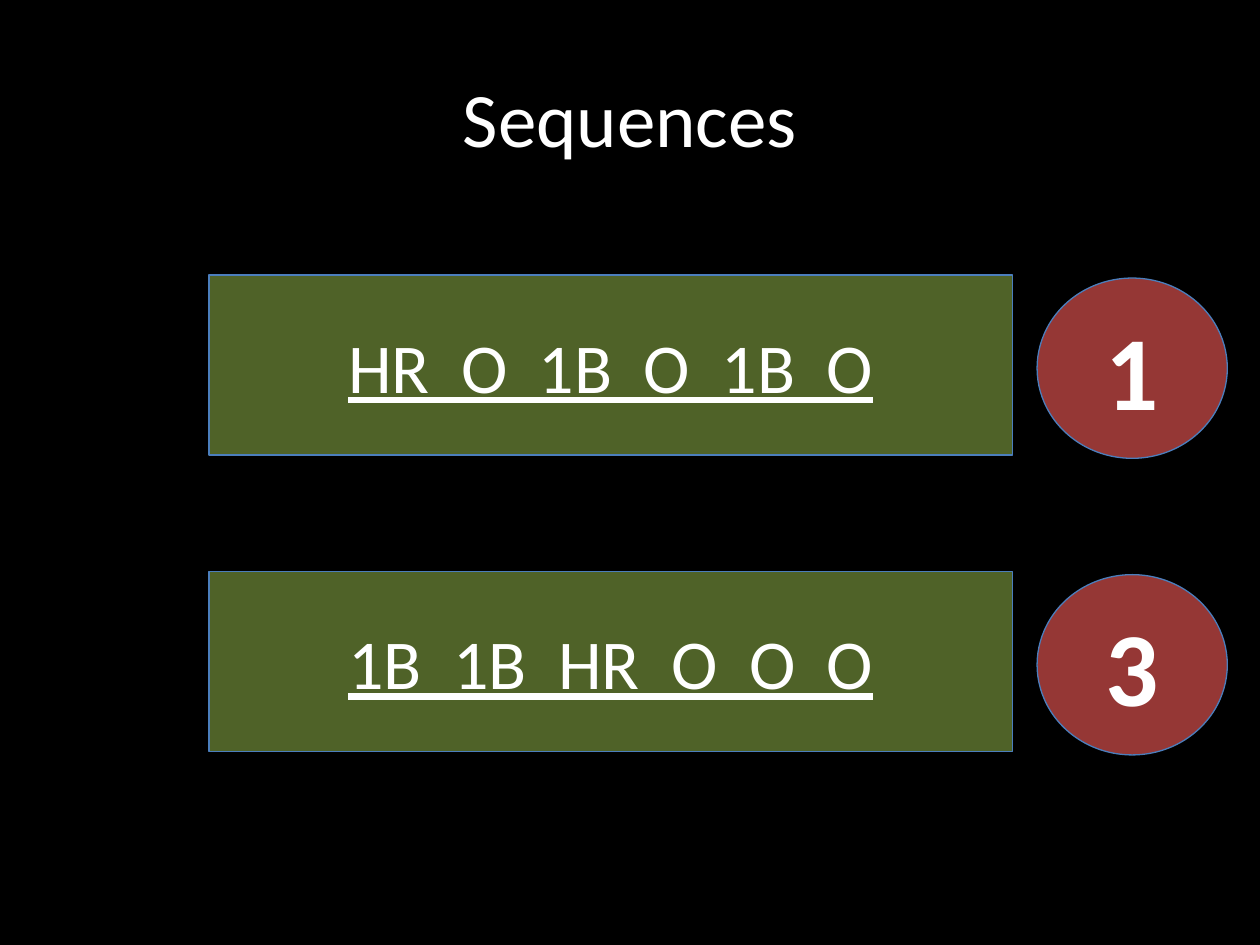
from pptx import Presentation
from pptx.dml.color import RGBColor
from pptx.enum import shapes, text
from pptx.util import Pt

COLORS = {
    "background": "000000",
    "text": "FFFFFF",
    "sequence": "4F6228",
    "runs": "953735",
    "outline": "4B7EBC",
}
SEQUENCES = [("HR  O  1B  O  1B  O", "1"), ("1B  1B  HR  O  O  O", "3")]
FIRST_TOP = 157.1
ROW_PITCH = 169.5
ROW_HEIGHT = 103


def color(name):
    return RGBColor.from_string(COLORS[name])


def write(frame, words, size, bold=False, underline=False):
    frame.word_wrap = True
    frame.vertical_anchor = text.MSO_ANCHOR.MIDDLE
    paragraph = frame.paragraphs[0]
    paragraph.alignment = text.PP_ALIGN.CENTER
    run = paragraph.add_run()
    run.text = words
    run.font.name = "Calibri"
    run.font.size = Pt(size)
    run.font.bold = bold
    run.font.underline = underline
    run.font.color.rgb = color("text")


def add_title(slide, words):
    title = slide.shapes.title
    title.left, title.top = Pt(36), Pt(21.6)
    title.width, title.height = Pt(648), Pt(90)
    write(title.text_frame, words, 44)


def add_panel(slide, kind, left, top, width, fill):
    panel = slide.shapes.add_shape(kind, Pt(left), Pt(top), Pt(width), Pt(ROW_HEIGHT))
    panel.shadow.inherit = False
    panel.fill.solid()
    panel.fill.fore_color.rgb = color(fill)
    panel.line.color.rgb = color("outline")
    panel.line.width = Pt(0.75)
    return panel.text_frame


def add_sequence(slide, top, plays):
    frame = add_panel(slide, shapes.MSO_SHAPE.RECTANGLE, 119.5, top, 459, "sequence")
    write(frame, plays, 40, underline=True)


def add_runs(slide, top, count):
    frame = add_panel(slide, shapes.MSO_SHAPE.OVAL, 592.6, top, 108.7, "runs")
    write(frame, count, 60, bold=True)


def main():
    deck = Presentation()
    deck.slide_width, deck.slide_height = Pt(720), Pt(540)
    slide = deck.slides.add_slide(deck.slide_layouts[5])
    slide.background.fill.solid()
    slide.background.fill.fore_color.rgb = color("background")
    add_title(slide, "Sequences")
    for row, (plays, count) in enumerate(SEQUENCES):
        top = FIRST_TOP + row * ROW_PITCH
        add_sequence(slide, top, plays)
        add_runs(slide, top + 1.8, count)
    deck.save("out.pptx")


if __name__ == "__main__":
    main()
